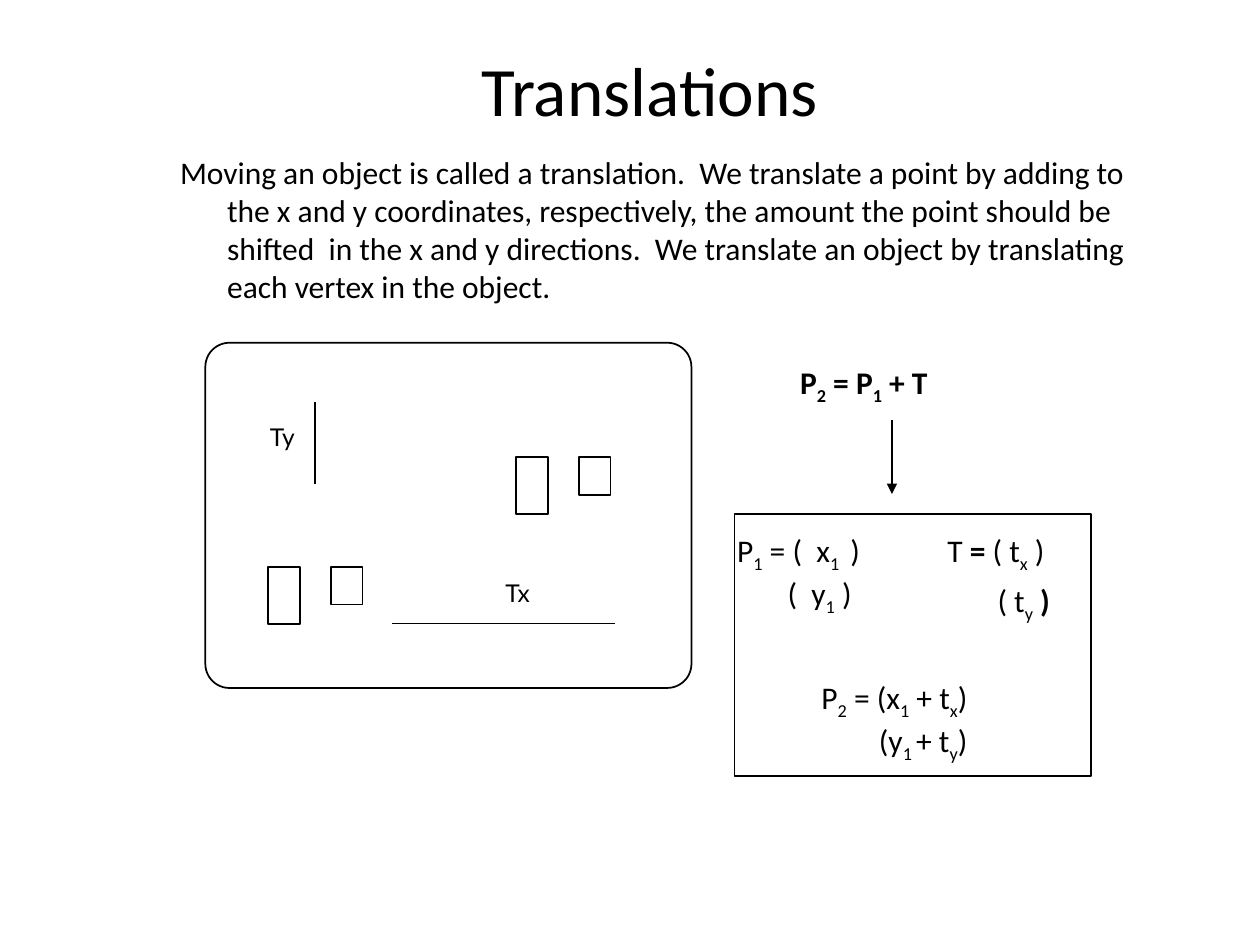
from pptx import Presentation
from pptx.dml.color import RGBColor
from pptx.enum.shapes import MSO_CONNECTOR, MSO_SHAPE
from pptx.enum.text import MSO_ANCHOR, PP_ALIGN
from pptx.oxml.ns import qn
from pptx.util import Cm, Pt
from lxml.etree import SubElement

THEME = dict(ink=RGBColor(0, 0, 0), paper=RGBColor(255, 255, 255), font="Calibri",
             label_font="Lato", title=39.6, body=18, label=14, line=1, gap=3.6)

TITLE = "Translations"
BODY = ("Moving an object is called a translation.  We translate a point by adding to "
        "the x and y coordinates, respectively, the amount the point should be "
        "shifted  in the x and y directions.  We translate an object by translating "
        "each vertex in the object.")

FORMULAS = [
    (15.88, 7.19, 5.92, 2.84, 0, 0, [
        [("P", "b"), ("2", "b_"), (" = P", "b"), ("1", "b_"), (" + T", "b")]]),
    (18.85, 10.59, 2.74, 1.93, 1.01, THEME["gap"], [
        [("T", ""), (" = ", "b"), ("( t", ""), ("x", "_"), (" )", "")],
        [("( t", ""), ("y", "_"), (" )", "b")]]),
    (14.61, 10.59, 3.28, 1.78, 1.02, 0, [
        [("P", ""), ("1", "_"), (" = (  x", ""), ("1 ", "_"), (" )", "")],
        [("(  y", ""), ("1", "_"), (" )", "")]]),
    (16.31, 13.54, 3.76, 1.78, 1.16, 0, [
        [("P", ""), ("2", "_"), (" = (x", ""), ("1", "_"), (" + t", ""), ("x", "_"), (")", "")],
        [("(y", ""), ("1 ", "_"), ("+ t", ""), ("y", "_"), (")", "")]]),
]

FORMULA_FRAME = (14.81, 10.36, 7.19, 5.28)
SCENE_FRAME = (4.14, 6.91, 9.8, 6.96)
OBJECT = [(0, 0, 0.64, 1.15), (1.26, 0, 0.64, 0.76)]
OBJECT_ORIGINS = [(5.41, 11.43), (10.41, 9.22)]
ARROW = (17.98, 8.47, 17.98, 9.96)
SHIFTS = [
    ("Ty", (5.44, 8.51, 0.76, 0.66), (6.35, 9.75, 6.35, 8.1)),
    ("Tx", (10.19, 11.66, 0.74, 0.66), (7.9, 12.57, 12.4, 12.57)),
]


def style_font(font, size, name=THEME["font"]):
    font.size, font.name = Pt(size), name
    font.color.rgb = THEME["ink"]


def add_box(s, box, inset=True):
    tf = s.shapes.add_textbox(*map(Cm, box)).text_frame
    tf.word_wrap = inset
    if not inset:
        tf.margin_left = tf.margin_right = tf.margin_top = tf.margin_bottom = 0
    return tf


def add_text(s, box, text, size, name=THEME["font"], inset=True):
    tf = add_box(s, box, inset)
    tf.text = text
    p = tf.paragraphs[0]
    style_font(p.runs[0].font, size, name)
    return tf, p


def set_indent(p, left, first=0):
    pPr = p._p.get_or_add_pPr()
    pPr.set("marL", str(Cm(left)))
    pPr.set("indent", str(Cm(first)))


def add_formula(s, x, y, w, h, indent, gap, lines):
    tf = add_box(s, (x, y, w, h))
    for i, line in enumerate(lines):
        p = tf.add_paragraph() if i else tf.paragraphs[0]
        if i:
            set_indent(p, indent)
            p.space_before = Pt(gap)
        for text, marks in line:
            r = p.add_run()
            r.text = text
            style_font(r.font, THEME["body"])
            r.font.bold = "b" in marks
            if "_" in marks:
                r._r.get_or_add_rPr().set("baseline", "-25000")


def add_frame(s, box, kind=MSO_SHAPE.RECTANGLE, filled=True):
    sp = s.shapes.add_shape(kind, *map(Cm, box))
    sp.shadow.inherit = False
    if filled:
        sp.fill.solid()
        sp.fill.fore_color.rgb = THEME["paper"]
    else:
        sp.fill.background()
    sp.line.color.rgb = THEME["ink"]
    sp.line.width = Pt(THEME["line"])
    return sp


def add_line(s, ends, arrow=False):
    sp = s.shapes.add_connector(MSO_CONNECTOR.STRAIGHT, *map(Cm, ends))
    sp.line.color.rgb = THEME["ink"]
    sp.line.width = Pt(THEME["line"])
    if arrow:
        SubElement(sp.line._get_or_add_ln(), qn("a:tailEnd"), type="triangle")
    SubElement(sp._element.spPr, qn("a:effectLst"))


def main():
    prs = Presentation()
    prs.slide_width, prs.slide_height = Cm(25.4), Cm(19.05)
    s = prs.slides.add_slide(prs.slide_layouts[6])

    tf, p = add_text(s, (2.29, 0.91, 21.62, 1.75), TITLE, THEME["title"], inset=False)
    tf.word_wrap = True
    tf.vertical_anchor = MSO_ANCHOR.MIDDLE
    p.alignment = PP_ALIGN.CENTER

    tf, p = add_text(s, (3.38, 2.97, 20.12, 3.61), BODY, THEME["body"])
    set_indent(p, 0.95, -0.95)

    for formula in FORMULAS:
        add_formula(s, *formula)
    add_frame(s, FORMULA_FRAME, filled=False)
    add_line(s, ARROW, arrow=True)

    scene = add_frame(s, SCENE_FRAME, MSO_SHAPE.ROUNDED_RECTANGLE)
    scene.adjustments[0] = 0.07
    for x, y in OBJECT_ORIGINS:
        for dx, dy, w, h in OBJECT:
            add_frame(s, (x + dx, y + dy, w, h))
    for label, box, ends in SHIFTS:
        add_line(s, ends)
        add_text(s, box, label, THEME["label"], THEME["label_font"], inset=False)

    prs.save("out.pptx")


if __name__ == "__main__":
    main()
